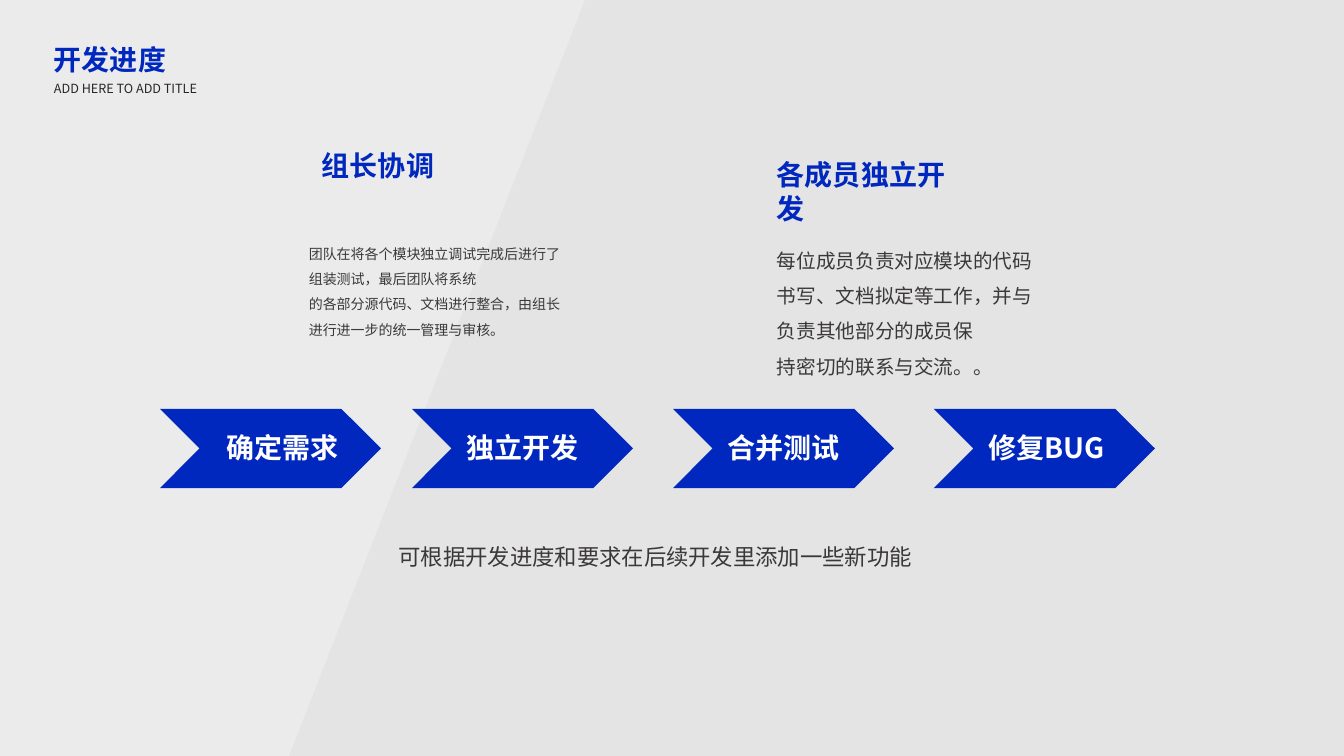
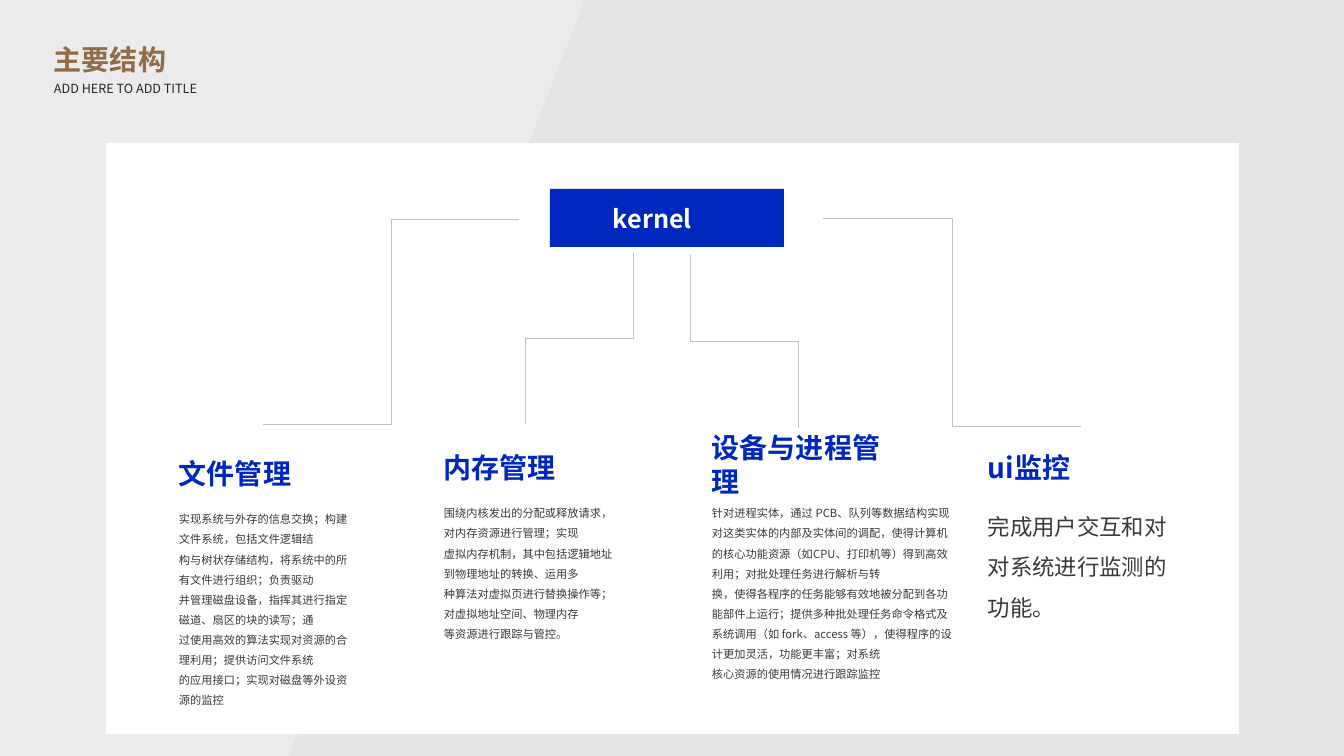
import pptx
import pptx.util
import pptx.dml.color
import pptx.enum.shapes
import pptx.enum.text
import pptx.oxml.ns
import lxml.etree

FONT = "Noto Sans CJK SC"
COLORS = {
    "back": "E4E4E4", "band": "F1F1F1", "blue": "0028BE", "brown": "8E6D48",
    "white": "FFFFFF", "body": "3B3838", "sub": "262626", "line": "BFBFBF",
}
SHAPE = pptx.enum.shapes.MSO_SHAPE
ALIGN = pptx.enum.text.PP_ALIGN


def px(n):
    return round(n * 914400 / 100.8)


def color(name):
    return pptx.dml.color.RGBColor.from_string(COLORS[name])


def child(parent, tag, **attrs):
    return lxml.etree.SubElement(parent, pptx.oxml.ns.qn(tag), attrs)


class Deck:
    def __init__(self):
        self.file = pptx.Presentation()
        self.file.slide_width, self.file.slide_height = px(1344), px(756)
        self.slide = None

    def page(self, title, tone="blue"):
        """Start a slide with the shared background, slanted band and title."""
        self.slide = self.file.slides.add_slide(self.file.slide_layouts[6])
        fill = self.slide.background.fill
        fill.solid()
        fill.fore_color.rgb = color("back")
        pen = self.slide.shapes.build_freeform(0, 0, scale=px(1))
        pen.add_line_segments([(585, 0), (289, 756), (0, 756)], close=True)
        band = self.paint(pen.convert_to_shape(), "band")
        tint = band.element.spPr.find(".//" + pptx.oxml.ns.qn("a:srgbClr"))
        child(tint, "a:alpha", val="54000")
        self.head(44, 38, 203, title, tone)
        self.text(44, 76, 186, 25, ["ADD HERE TO ADD TITLE"], 9, "sub",
                  align=ALIGN.JUSTIFY)

    def paint(self, shape, tone):
        shape.shadow.inherit = False
        shape.fill.solid()
        shape.fill.fore_color.rgb = color(tone)
        shape.line.fill.background()
        return shape

    def shape(self, kind, x, y, w, h, tone):
        box = self.slide.shapes.add_shape(kind, px(x), px(y), px(w), px(h))
        return self.paint(box, tone)

    def text(self, x, y, w, h, paras, size, tone, bold=False, align=None,
             space=None):
        box = self.slide.shapes.add_textbox(px(x), px(y), px(w), px(h))
        frame = box.text_frame
        frame.word_wrap = True
        frame.text = "\n".join(paras)
        for para in frame.paragraphs:
            para.alignment = align
            para.line_spacing = space
            font = para.font
            font.size, font.bold, font.name = pptx.util.Pt(size), bold, FONT
            font.color.rgb = color(tone)
            props = para._p.pPr.find(pptx.oxml.ns.qn("a:defRPr"))
            child(props, "a:ea", typeface=FONT)

    def head(self, x, y, w, text, tone="blue", h=44, align=None):
        self.text(x, y, w, h, [text], 20, tone, True, align)

    def body(self, x, y, w, h, paras, size, align=None):
        self.text(x, y, w, h, paras, size, "body", align=align, space=1.5)

    def elbow(self, x1, y1, x2, y2, down=False):
        """Bent line; with down it leaves vertically, as a quarter turn."""
        if down:
            midx, midy = (x1 + x2) / 2, (y1 + y2) / 2
            dx, dy = (x2 - x1) / 2, (y2 - y1) / 2
            x1, y1, x2, y2 = midx - dy, midy + dx, midx + dy, midy - dx
        line = self.slide.shapes.add_connector(
            pptx.enum.shapes.MSO_CONNECTOR.ELBOW,
            px(x1), px(y1), px(x2), px(y2))
        line.line.color.rgb = color("line")
        line.line.width = pptx.util.Pt(0.5)
        props = line.element.spPr
        child(props, "a:effectLst")
        if down:
            props.find(pptx.oxml.ns.qn("a:xfrm")).set("rot", "5400000")


def progress(deck):
    deck.page("开发进度")
    steps = [(160, 211, "确定需求"), (412, 451, "独立开发"),
             (673, 712, "合并测试"), (934, 975, "修复BUG")]
    for x, left, label in steps:
        deck.shape(SHAPE.CHEVRON, x, 409, 221, 79, "blue")
        deck.head(left, 426, 143, label, "white", align=ALIGN.CENTER)
    deck.body(211, 525, 889, 50,
              ["可根据开发进度和要求在后续开发里添加一些新功能"], 16, ALIGN.CENTER)
    deck.head(312, 144, 191, "组长协调")
    deck.body(299, 232, 280, 139, [
        "团队在将各个模块独立调试完成后进行了组装测试，最后团队将系统",
        "的各部分源代码、文档进行整合，由组长进行进一步的统一管理与审核。"], 10)
    deck.head(767, 153, 191, "各成员独立开发", h=78)
    deck.body(767, 232, 280, 152, [
        "每位成员负责对应模块的代码书写、文档拟定等工作，并与负责其他部分的成员保",
        "持密切的联系与交流。。"], 14)


def structure(deck):
    deck.page("主要结构", "brown")
    deck.shape(SHAPE.RECTANGLE, 106, 143, 1133, 591, "white")
    deck.shape(SHAPE.RECTANGLE, 550, 189, 234, 58, "blue")
    deck.text(603, 198, 124, 40, ["kernel"], 18, "white", True)
    deck.elbow(519, 219, 263, 424)
    deck.elbow(633, 253, 525, 424, down=True)
    deck.elbow(690, 255, 798, 428, down=True)
    deck.elbow(823, 218, 1081, 426)
    # left, head top, body top, body width, body height, size, head, body
    parts = [
        (169, 452, 501, 199, 214, 8, "文件管理", [
            "实现系统与外存的信息交换；构建文件系统，包括文件逻辑结",
            "构与树状存储结构，将系统中的所有文件进行组织；负责驱动",
            "并管理磁盘设备，指挥其进行指定磁道、扇区的块的读写；通",
            "过使用高效的算法实现对资源的合理利用；提供访问文件系统",
            "的应用接口；实现对磁盘等外设资源的监控"]),
        (434, 446, 495, 199, 152, 8, "内存管理", [
            "围绕内核发出的分配或释放请求，对内存资源进行管理；实现",
            "虚拟内存机制，其中包括逻辑地址到物理地址的转换、运用多",
            "种算法对虚拟页进行替换操作等；对虚拟地址空间、物理内存",
            "等资源进行跟踪与管控。"]),
        (702, 426, 495, 260, 194, 8, "设备与进程管理", [
            "针对进程实体，通过 PCB、队列等数据结构实现对这类实体的内部及实体间的"
            "调配，使得计算机的核心功能资源（如CPU、打印机等）得到高效利用；"
            "对批处理任务进行解析与转",
            "换，使得各程序的任务能够有效地被分配到各功能部件上运行；"
            "提供多种批处理任务命令格式及系统调用（如 fork、access 等），"
            "使得程序的设计更加灵活，功能更丰富；对系统",
            "核心资源的使用情况进行跟踪监控"]),
        (978, 446, 495, 199, 132, 16, "ui监控", [
            "完成用户交互和对对系统进行监测的功能。"]),
    ]
    for x, top, y, w, h, size, name, paras in parts:
        deck.head(x, top, 199, name)
        deck.body(x, y, w, h, paras, size)


def main():
    deck = Deck()
    progress(deck)
    structure(deck)
    deck.file.save("out.pptx")


if __name__ == "__main__":
    main()
